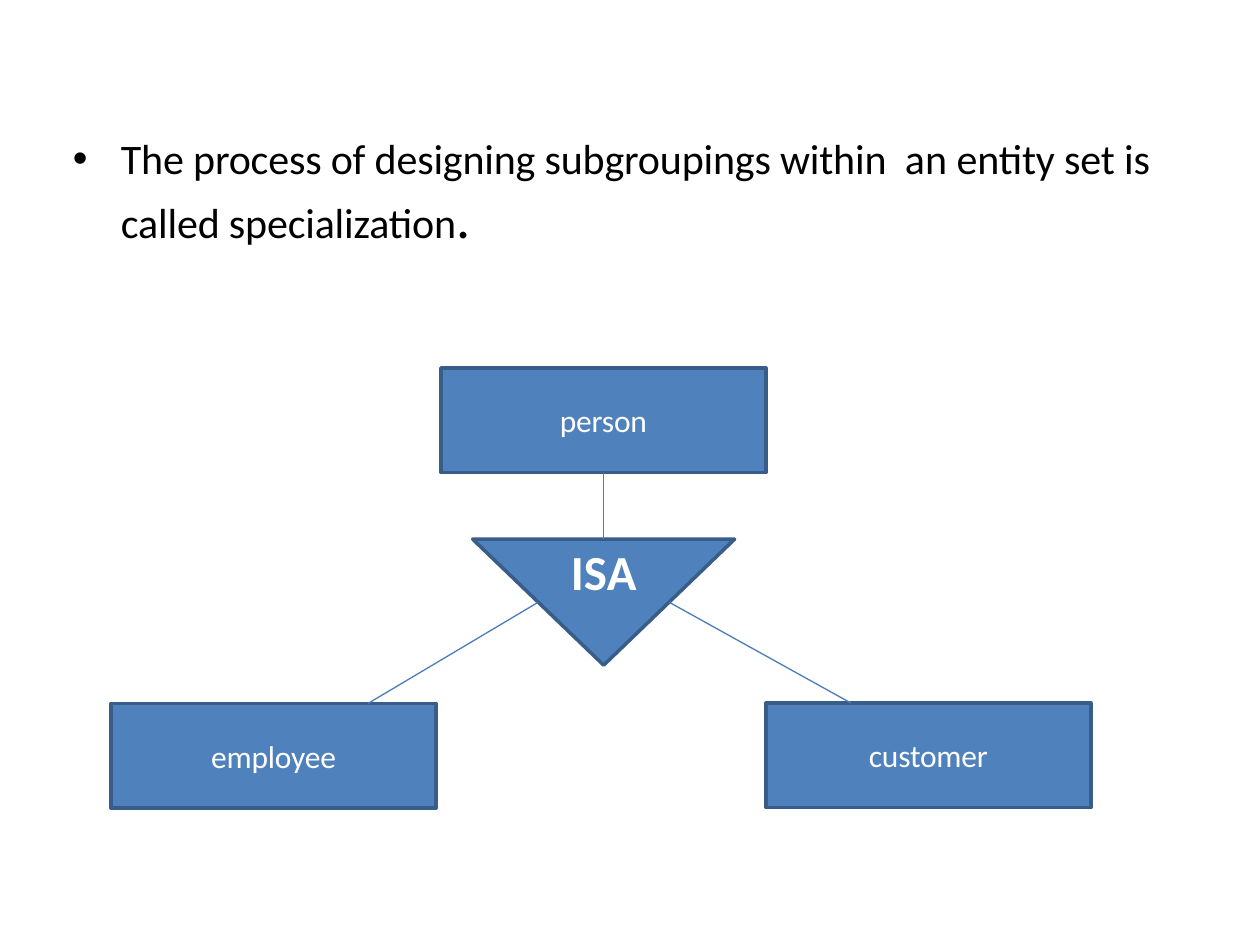
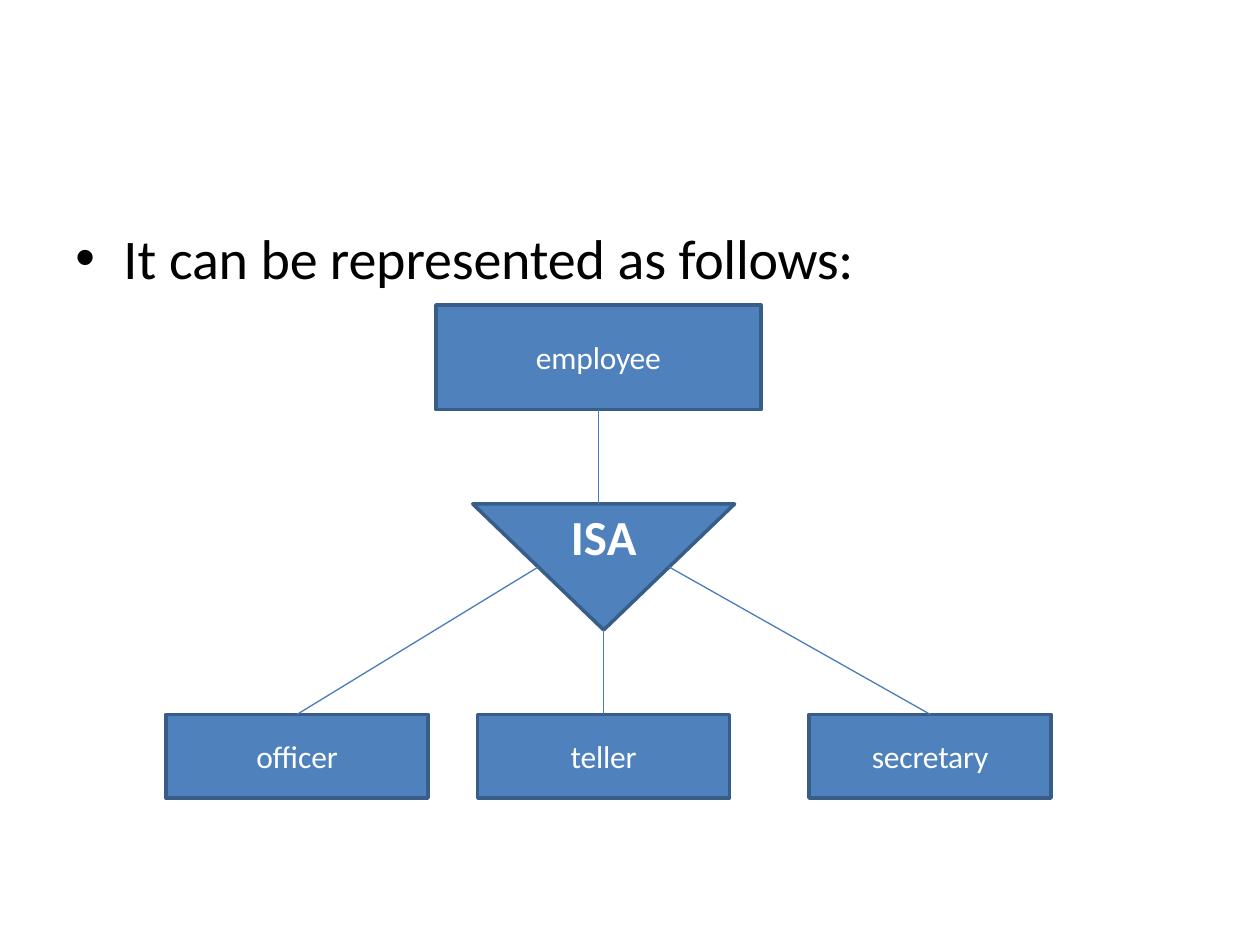
import dataclasses
import typing

import lxml.etree
import pptx
import pptx.dml.color
import pptx.enum.shapes
import pptx.enum.text
import pptx.oxml.ns
import pptx.util

Cm = pptx.util.Cm
Pt = pptx.util.Pt
RGBColor = pptx.dml.color.RGBColor
Shape = pptx.enum.shapes.MSO_SHAPE

FONT = "Calibri"
BLACK = RGBColor(0x00, 0x00, 0x00)
WHITE = RGBColor(0xFF, 0xFF, 0xFF)
FILL = RGBColor(0x4F, 0x81, 0xBC)
OUTLINE = RGBColor(0x38, 0x5D, 0x89)
LINK = RGBColor(0x49, 0x7D, 0xBA)

ISA_LEFT, ISA_WIDTH, ISA_HEIGHT = 9.53, 5.28, 2.54


@dataclasses.dataclass(frozen=True)
class Run:
    """A piece of text with its size and letter spacing in points."""
    text: str
    size: float
    spacing: float = -0.1
    bold: bool = False


@dataclasses.dataclass(frozen=True)
class Box:
    """A labelled shape, in centimetres."""
    left: float
    top: float
    width: float
    height: float
    runs: tuple[Run, ...]

    @property
    def center(self) -> float:
        """Return the horizontal middle."""
        return self.left + self.width / 2

    @property
    def bottom(self) -> float:
        """Return the lower edge."""
        return self.top + self.height


class Child(typing.NamedTuple):
    """A lower entity and where its link lands on the top edge."""
    box: Box
    link_x: float


@dataclasses.dataclass(frozen=True)
class IsaSlide:
    """A bullet above a specialization diagram."""
    bullet: Box
    parent: Box
    isa_top: float
    children: tuple[Child, ...]


def entity(name: str, left: float, top: float, width: float = 6.55, height: float = 2.11) -> Box:
    """Return an entity box with its name."""
    return Box(left, top, width, height, (Run(name, 18),))


def centered(box: Box) -> Child:
    """Return a child linked at the middle of its top edge."""
    return Child(box, box.center)


def add_runs(p, runs: tuple[Run, ...], color: RGBColor) -> None:
    """Add text to a paragraph run by run."""
    for run in runs:
        r = p.add_run()
        r.text = run.text
        r.font.name = FONT
        r.font.size = Pt(run.size)
        r.font.bold = run.bold
        r.font.color.rgb = color
        r._r.get_or_add_rPr().set("spc", str(round(run.spacing * 100)))


def clear_margins(tf) -> None:
    """Wrap the text and remove its insets."""
    tf.word_wrap = True
    tf.margin_left = tf.margin_right = tf.margin_top = tf.margin_bottom = 0


def place(box: Box) -> tuple[Cm, ...]:
    """Return position and size as lengths."""
    return tuple(Cm(v) for v in (box.left, box.top, box.width, box.height))


def add_bullet(s, box: Box) -> None:
    """Draw the bulleted sentence."""
    tf = s.shapes.add_textbox(*place(box)).text_frame
    clear_margins(tf)
    tf.margin_top = Cm(0.03)
    p = tf.paragraphs[0]
    p.space_before = Pt(1.1)
    pPr = p._p.get_or_add_pPr()
    pPr.set("marL", str(Cm(0.99)))
    pPr.set("indent", str(Cm(-0.97)))
    lxml.etree.SubElement(pPr, pptx.oxml.ns.qn("a:buFont")).set("typeface", "Arial")
    lxml.etree.SubElement(pPr, pptx.oxml.ns.qn("a:buChar")).set("char", "•")
    add_runs(p, box.runs, BLACK)


def add_box(s, box: Box, preset: Shape = Shape.RECTANGLE) -> None:
    """Draw a filled shape with centred text."""
    sp = s.shapes.add_shape(preset, *place(box))
    sp.shadow.inherit = False
    sp.fill.solid()
    sp.fill.fore_color.rgb = FILL
    sp.line.color.rgb = OUTLINE
    sp.line.width = Pt(2)
    tf = sp.text_frame
    clear_margins(tf)
    tf.vertical_anchor = pptx.enum.text.MSO_ANCHOR.MIDDLE
    p = tf.paragraphs[0]
    p.alignment = pptx.enum.text.PP_ALIGN.CENTER
    add_runs(p, box.runs, WHITE)


def add_link(s, x1: float, y1: float, x2: float, y2: float) -> None:
    """Draw a thin straight link."""
    c = s.shapes.add_connector(pptx.enum.shapes.MSO_CONNECTOR.STRAIGHT, Cm(x1), Cm(y1), Cm(x2), Cm(y2))
    c.line.color.rgb = LINK
    c.line.width = Pt(0.75)
    lxml.etree.SubElement(c._element.spPr, pptx.oxml.ns.qn("a:effectLst"))


def isa_exit(isa: Box, index: int, count: int) -> tuple[float, float]:
    """Return the point of the triangle where a child's link starts."""
    share = index / (count - 1)
    x = isa.left + isa.width * (0.25 + share / 2)
    y = isa.bottom if 0 < share < 1 else isa.top + isa.height / 2
    return x, y


def add_isa_slide(prs, spec_slide: IsaSlide) -> None:
    """Draw one slide with its bullet and diagram."""
    s = prs.slides.add_slide(prs.slide_layouts[6])
    add_bullet(s, spec_slide.bullet)
    parent, children = spec_slide.parent, spec_slide.children
    isa_runs = (Run("I", 28, bold=True), Run("S", 28, -0.5, True), Run("A", 28, bold=True))
    isa = Box(ISA_LEFT, spec_slide.isa_top, ISA_WIDTH, ISA_HEIGHT, isa_runs)
    add_box(s, parent)
    add_box(s, isa, Shape.FLOWCHART_MERGE)
    add_link(s, parent.center, parent.bottom, parent.center, isa.top)
    for i, child in enumerate(children):
        add_box(s, child.box)
        add_link(s, *isa_exit(isa, i, len(children)), child.link_x, child.box.top)


SLIDES = (
    IsaSlide(
        Box(1.45, 2.64, 21.84, 2.44, (
            Run("The process of designing subgroupings within  ", 24),
            Run("an ", 24, 0),
            Run("entity set ", 24),
            Run("is ", 24, 0),
            Run("called specialization", 24),
            Run(".", 32),
        )),
        entity("person", 8.89, 7.42),
        10.87,
        (
            Child(entity("employee", 2.24, 14.18), 7.42),
            Child(entity("customer", 15.44, 14.17), 17.15),
        ),
    ),
    IsaSlide(
        Box(1.5, 4.47, 15.85, 1.42, (
            Run("It ", 32, 0),
            Run("can be represented ", 32),
            Run("as", 32, 0),
            Run(" follows:", 32, -0.2),
        )),
        entity("employee", 8.79, 6.15),
        10.16,
        (
            centered(entity("officer", 3.35, 14.4, 5.28, 1.69)),
            centered(entity("teller", 9.63, 14.4, 5.08, 1.69)),
            centered(entity("secretary", 16.31, 14.4, 4.88, 1.69)),
        ),
    ),
)


def main() -> None:
    """Build and save the presentation."""
    prs = pptx.Presentation()
    prs.slide_width, prs.slide_height = Cm(25.4), Cm(19.05)
    for isa_slide in SLIDES:
        add_isa_slide(prs, isa_slide)
    prs.save("out.pptx")


if __name__ == "__main__":
    main()
